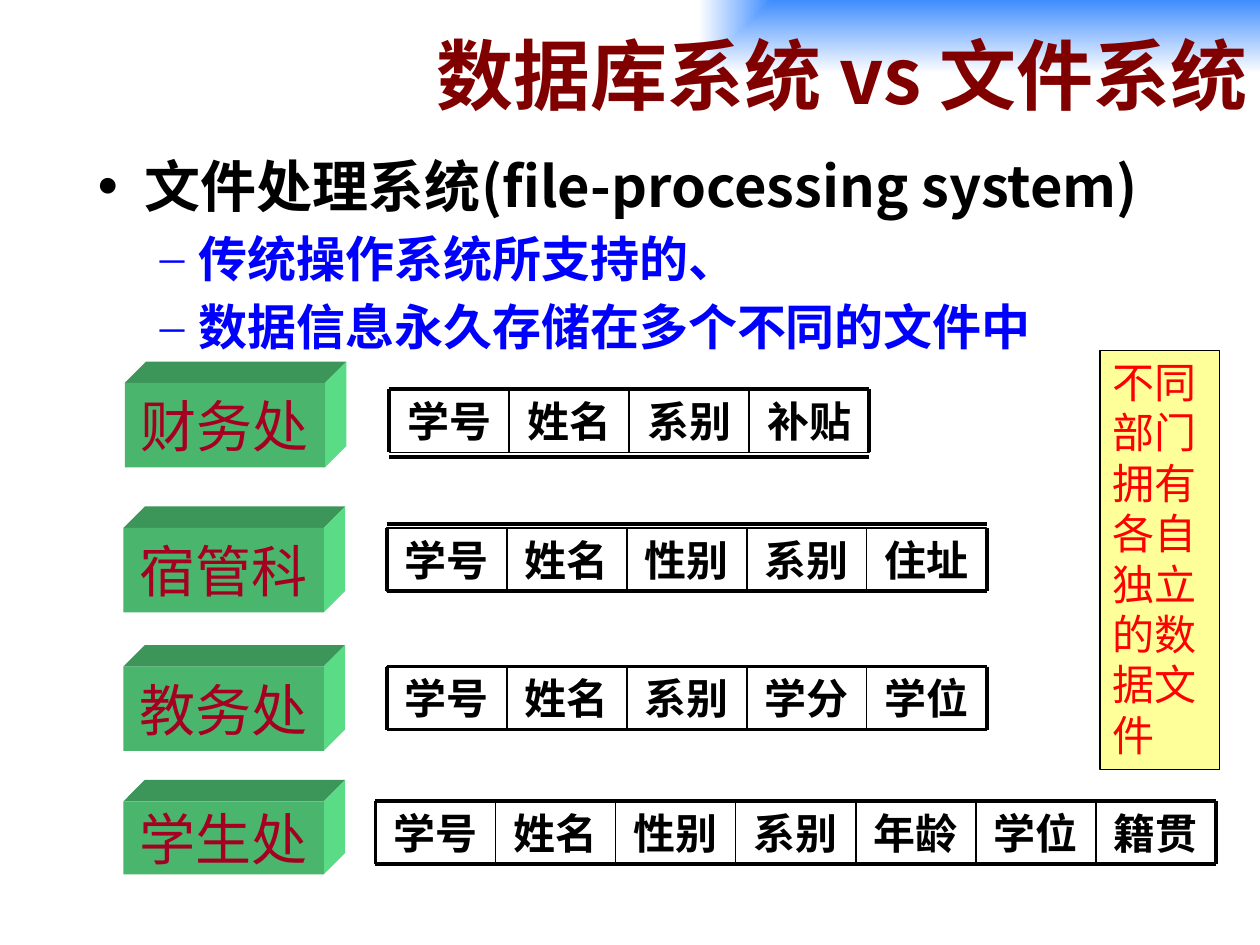
from lxml import etree
from pptx import Presentation
from pptx.dml.color import RGBColor
from pptx.enum.shapes import MSO_CONNECTOR, MSO_SHAPE
from pptx.enum.text import MSO_ANCHOR, PP_ALIGN
from pptx.oxml import parse_xml
from pptx.oxml.ns import qn
from pptx.util import Inches, Pt

RECT, STRAIGHT = MSO_SHAPE.RECTANGLE, MSO_CONNECTOR.STRAIGHT
MIDDLE, TOP = MSO_ANCHOR.MIDDLE, MSO_ANCHOR.TOP
LEFT, CENTER, RIGHT = PP_ALIGN.LEFT, PP_ALIGN.CENTER, PP_ALIGN.RIGHT

TITLE = "数据库系统 vs 文件系统"
HEADING = "文件处理系统(file-processing system)"
POINTS = ["传统操作系统所支持的、", "数据信息永久存储在多个不同的文件中"]
NOTE = "不同部门拥有各自独立的数据文件"
# department, block (left, top, height), record (left, right, top),
# y of the heavy rules above and below the record, fields
DEPARTMENTS = [
    ("财务处", (0.99, 3.04, 0.67), (3.09, 6.9, 3.09), (3.09, 3.63),
     ["学号", "姓名", "系别", "补贴"]),
    ("宿管科", (0.98, 4.19, 0.67), (3.07, 7.83, 4.19), (4.16, 4.69),
     ["学号", "姓名", "性别", "系别", "住址"]),
    ("教务处", (0.98, 5.29, 0.67), (3.07, 7.83, 5.29), (5.29, 5.79),
     ["学号", "姓名", "系别", "学分", "学位"]),
    ("学生处", (0.98, 6.36, 0.58), (2.98, 9.65, 6.36), (6.36, 6.86),
     ["学号", "姓名", "性别", "系别", "年龄", "学位", "籍贯"]),
]
ROW_H = 0.5
BLOCK_W, DEPTH = 1.59, 0.17

THEME = {
    "sans": "Noto Sans CJK JP", "serif": "Times New Roman", "block": "Karla",
    "title": "800000", "ink": "000000", "point": "0000FF", "note": "FF0000",
    "note_fill": "FFFF99", "block_text": "A50021",
    "front": "4AB56D", "top": "3D9659", "side": "59DC85",
    "band": "3F8DFF", "paper": "FFFFFF",
    "title_pt": 44, "heading_pt": 32, "point_pt": 28, "cell_pt": 24,
    "heavy": 2.25, "thin": 1, "outline": 0.75,
}


def rgb(name):
    return RGBColor.from_string(THEME[name])


def style(p, size, color, font, bold=False, align=LEFT):
    p.alignment = align
    for r in p.runs:
        r.font.size, r.font.bold, r.font.name = Pt(size), bold, THEME[font]
        r.font.color.rgb = rgb(color)
        ea = etree.SubElement(r.font._element, qn("a:ea"))
        ea.set("typeface", THEME["sans"])


def paint(s, fill=None, outline=False):
    s.shadow.inherit = False
    if fill:
        s.fill.solid()
        s.fill.fore_color.rgb = rgb(fill)
    else:
        s.fill.background()
    if outline:
        s.line.color.rgb, s.line.width = rgb("ink"), Pt(THEME["outline"])
    else:
        s.line.fill.background()


def add_rect(slide, x, y, w, h, fill=None, outline=False):
    s = slide.shapes.add_shape(RECT, Inches(x), Inches(y), Inches(w), Inches(h))
    paint(s, fill, outline)
    return s


def add_title(slide):
    s = add_rect(slide, 1.08, 0, 8.92, 1.17, "paper")
    solid = s._element.spPr.find(qn("a:solidFill"))
    stops = "".join(f'<a:gs pos="{pos}"><a:srgbClr val="{THEME[c]}"/></a:gs>'
                    for pos, c in ((0, "band"), (100000, "paper")))
    solid.getparent().replace(solid, parse_xml(
        '<a:gradFill xmlns:a="http://schemas.openxmlformats.org/drawingml/2006/main">'
        f'<a:gsLst>{stops}</a:gsLst><a:path path="rect">'
        '<a:fillToRect l="100000" b="100000"/></a:path></a:gradFill>'))
    tf = s.text_frame
    tf.text, tf.vertical_anchor = TITLE, MIDDLE
    style(tf.paragraphs[0], THEME["title_pt"], "title", "sans", True, RIGHT)


def add_bullet(p, char, margin, indent, percent=100):
    pPr = p._p.get_or_add_pPr()
    pPr.set("marL", str(Inches(margin)))
    pPr.set("indent", str(Inches(indent)))
    etree.SubElement(pPr, qn("a:buSzPct")).set("val", str(percent * 1000))
    etree.SubElement(pPr, qn("a:buFont")).set("typeface", THEME["serif"])
    etree.SubElement(pPr, qn("a:buChar")).set("char", char)


def add_body(slide):
    s = slide.shapes.add_textbox(Inches(0.67), Inches(1.15), Inches(9.33), Inches(1.81))
    tf = s.text_frame
    tf.word_wrap = True
    tf.text = "\n".join([HEADING, *POINTS])
    for i, p in enumerate(tf.paragraphs):
        size = THEME["point_pt" if i else "heading_pt"]
        style(p, size, "point" if i else "ink", "sans", True)
        p.space_before = Pt(size * 0.2)
        if i:
            p.level = 1
            add_bullet(p, "–", 0.81, -0.31)
        else:
            add_bullet(p, "●", 0.38, -0.38, 65)


def add_block(slide, name, x, y, h):
    """Front face with the name, plus the top and right faces of a solid block."""
    right, bottom = x + BLOCK_W, y + h
    faces = {
        "top": [(x, y), (x + DEPTH, y - DEPTH), (right + DEPTH, y - DEPTH), (right, y)],
        "side": [(right, y), (right + DEPTH, y - DEPTH),
                 (right + DEPTH, bottom - DEPTH), (right, bottom)],
    }
    for color, points in faces.items():
        start, *rest = [(Inches(px), Inches(py)) for px, py in points]
        outline = slide.shapes.build_freeform(*start)
        outline.add_line_segments(rest, close=True)
        paint(outline.convert_to_shape(), color)
    tf = add_rect(slide, x, y, BLOCK_W, h, "front").text_frame
    tf.text, tf.vertical_anchor, tf.word_wrap = name, MIDDLE, False
    style(tf.paragraphs[0], THEME["heading_pt"], "block_text", "block", align=CENTER)


def add_line(slide, x1, y1, x2, y2, weight):
    c = slide.shapes.add_connector(STRAIGHT, Inches(x1), Inches(y1), Inches(x2), Inches(y2))
    c.line.color.rgb, c.line.width = rgb("ink"), Pt(THEME[weight])
    etree.SubElement(c._element.spPr, qn("a:effectLst"))


def add_record(slide, left, right, top, rules, fields):
    """Row of field cells under heavy outer rules and thin dividers."""
    n = len(fields)
    width = (right - left) / n
    for i, field in enumerate(fields):
        tf = add_rect(slide, left + i * width, top, width, ROW_H, outline=True).text_frame
        tf.text, tf.vertical_anchor, tf.word_wrap = field, MIDDLE, True
        tf.margin_left = tf.margin_right = tf.margin_top = tf.margin_bottom = 0
        style(tf.paragraphs[0], THEME["cell_pt"], "ink", "serif", True, CENTER)
    for y in rules:
        add_line(slide, left, y, right, y, "heavy")
    for i in range(n + 1):
        x = left + i * width
        add_line(slide, x, top, x, top + ROW_H, "heavy" if i in (0, n) else "thin")


def add_note(slide):
    tf = add_rect(slide, 8.73, 2.78, 0.95, 3.33, "note_fill", outline=True).text_frame
    tf.text, tf.vertical_anchor, tf.word_wrap = NOTE, TOP, True
    style(tf.paragraphs[0], THEME["cell_pt"], "note", "sans")


def main():
    prs = Presentation()
    prs.slide_width, prs.slide_height = Inches(10), Inches(7.5)
    slide = prs.slides.add_slide(prs.slide_layouts[6])
    add_title(slide)
    add_body(slide)
    for name, block, record, rules, fields in DEPARTMENTS:
        add_record(slide, *record, rules, fields)
        add_block(slide, name, *block)
    add_note(slide)
    prs.save("out.pptx")


if __name__ == "__main__":
    main()
